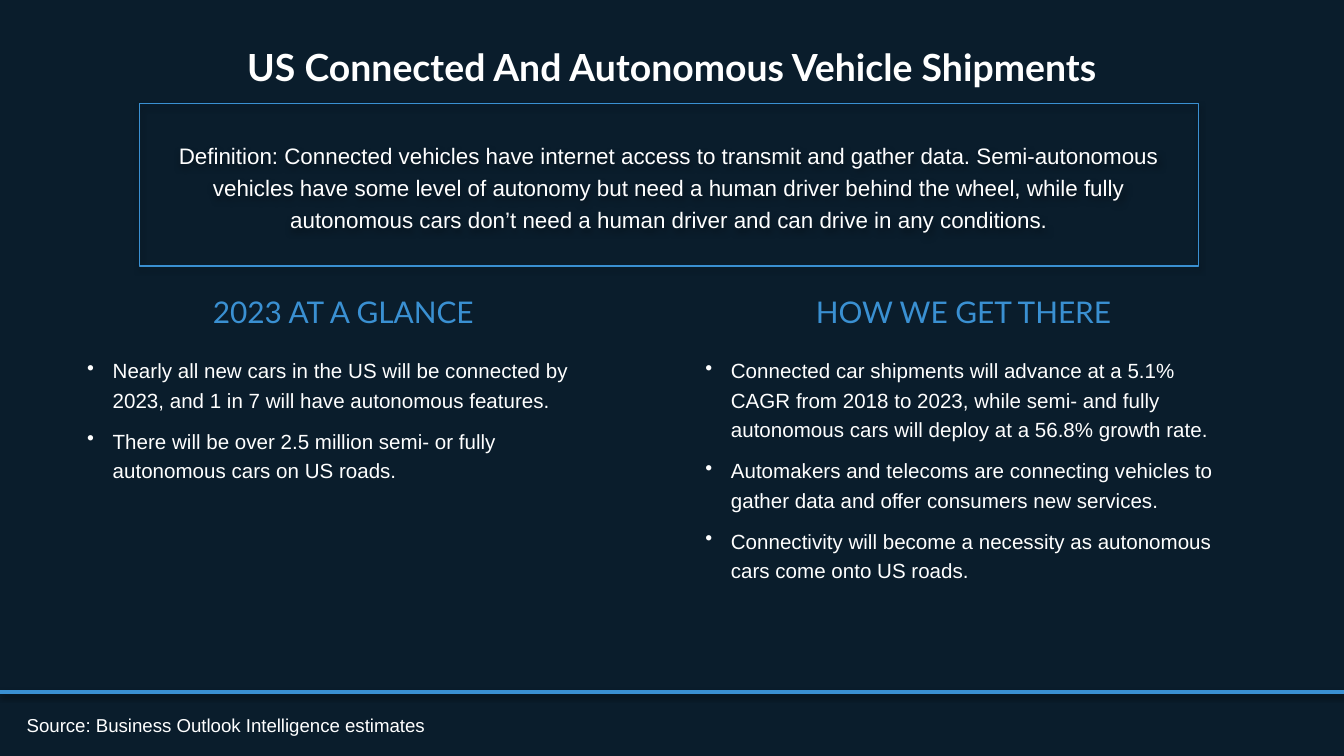
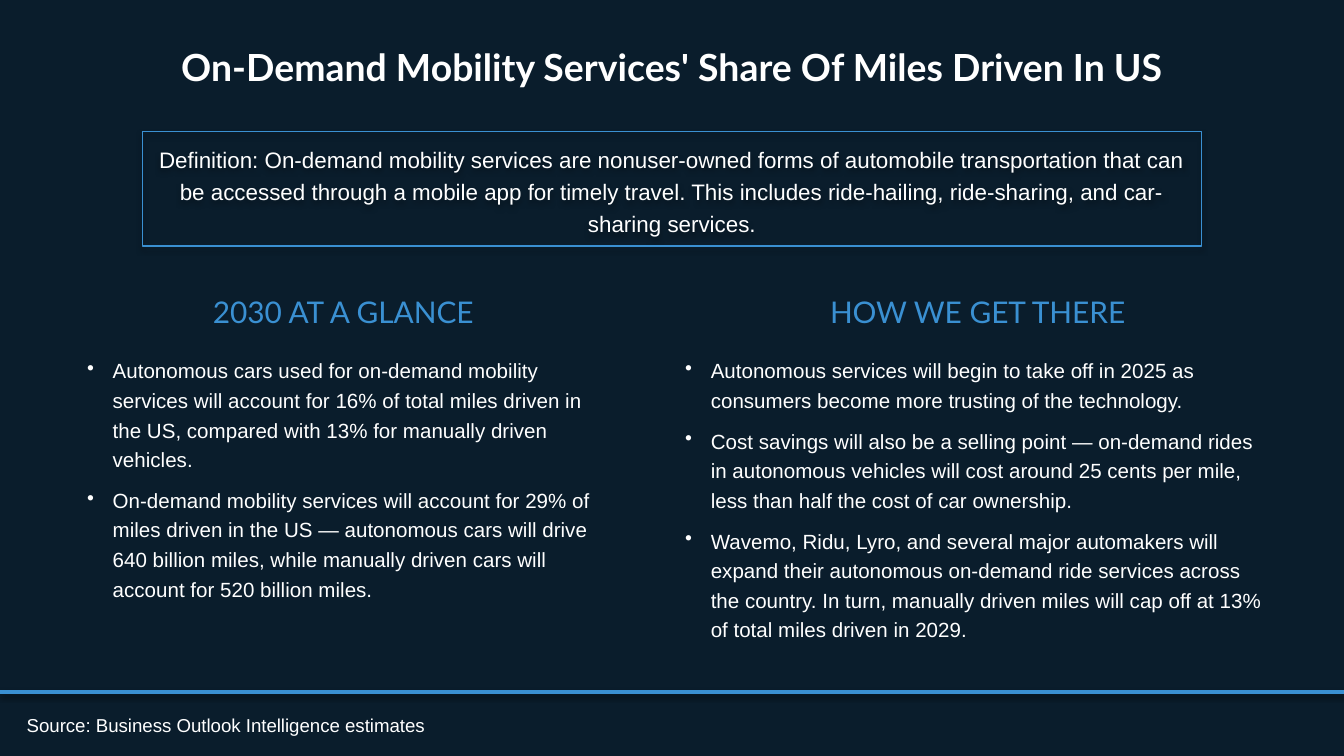
from dataclasses import dataclass

from lxml import etree
from pptx import Presentation
from pptx.dml.color import RGBColor
from pptx.enum.shapes import MSO_CONNECTOR, MSO_SHAPE
from pptx.enum.text import MSO_ANCHOR, PP_ALIGN
from pptx.oxml.ns import qn
from pptx.util import Inches, Pt

CENTER, LEFT = PP_ALIGN.CENTER, PP_ALIGN.LEFT
TOP, MIDDLE, BOTTOM = MSO_ANCHOR.TOP, MSO_ANCHOR.MIDDLE, MSO_ANCHOR.BOTTOM
RECTANGLE, STRAIGHT = MSO_SHAPE.RECTANGLE, MSO_CONNECTOR.STRAIGHT

NAVY, BLUE, WHITE, BLACK = "0A1D2C", "3A90D2", "FFFFFF", "000000"
HEADING_FONT, BODY_FONT = "Lato", "Arial"
SLIDE_WIDTH = 10
SLIDE_HEIGHT = SLIDE_WIDTH * 9 / 16
FOOTER_RULE_TOP = 5.15
LINE_SPACING = 1.2
BULLET_INDENT = 0.19
SOURCE = "Source: Business Outlook Intelligence estimates"


@dataclass(frozen=True)
class Box:
    left: float
    top: float
    width: float
    height: float

    def lengths(self):
        return [Inches(n) for n in (self.left, self.top, self.width, self.height)]


@dataclass(frozen=True)
class TextStyle:
    font: str
    size: float
    color: str
    bold: bool = False
    align: PP_ALIGN = LEFT
    line_spacing: float = LINE_SPACING
    space_before: float = 0
    space_after: float = 0


@dataclass(frozen=True)
class Column:
    box: Box
    heading: str
    bullets: tuple[str, ...]


@dataclass(frozen=True)
class Topic:
    title: str
    definition: str
    definition_box: Box
    columns: tuple[Column, ...]


TITLE_BOX = Box(0.2, 0.2, 9.6, 0.51)
SOURCE_BOX = Box(0.1, 5.31, 5.42, 0.22)
GLANCE_BOX = Box(0.55, 2.08, 4.01, 3.15)

TITLE_STYLE = TextStyle(HEADING_FONT, 20, WHITE, bold=True, align=CENTER)
HEADING_STYLE = TextStyle(HEADING_FONT, 16, BLUE, align=CENTER, space_after=13)
BULLET_STYLE = TextStyle(BODY_FONT, 11, WHITE, space_after=6)
DEFINITION_STYLE = TextStyle(BODY_FONT, 12, WHITE, align=CENTER)
SOURCE_STYLE = TextStyle(BODY_FONT, 10, WHITE, line_spacing=1, space_before=2)

TOPICS = (
    Topic(
        "US Connected And Autonomous Vehicle Shipments",
        "Definition: Connected vehicles have internet access to transmit and gather data. "
        "Semi-autonomous vehicles have some level of autonomy but need a human driver behind "
        "the wheel, while fully autonomous cars don’t need a human driver and can drive in "
        "any conditions.",
        Box(1.04, 0.77, 7.88, 1.21),
        (
            Column(GLANCE_BOX, "2023 AT A GLANCE", (
                "Nearly all new cars in the US will be connected by 2023, and 1 in 7 will have "
                "autonomous features.",
                "There will be over 2.5 million semi- or fully autonomous cars on US roads.",
            )),
            Column(Box(5.15, 2.08, 4.04, 2.37), "HOW WE GET THERE", (
                "Connected car shipments will advance at a 5.1% CAGR from 2018 to 2023, while "
                "semi- and fully autonomous cars will deploy at a 56.8% growth rate.",
                "Automakers and telecoms are connecting vehicles to gather data and offer "
                "consumers new services.",
                "Connectivity will become a necessity as autonomous cars come onto US roads.",
            )),
        ),
    ),
    Topic(
        "On-Demand Mobility Services' Share Of Miles Driven In US",
        "Definition: On-demand mobility services are nonuser-owned forms of automobile "
        "transportation that can be accessed through a mobile app for timely travel. This "
        "includes ride-hailing, ride-sharing, and car-sharing services.",
        Box(1.06, 0.98, 7.88, 0.85),
        (
            Column(GLANCE_BOX, "2030 AT A GLANCE", (
                "Autonomous cars used for on-demand mobility services will account for 16% of "
                "total miles driven in the US, compared with 13% for manually driven vehicles.",
                "On-demand mobility services will account for 29% of miles driven in the US — "
                "autonomous cars will drive 640 billion miles, while manually driven cars will "
                "account for 520 billion miles.",
            )),
            Column(Box(5, 2.08, 4.55, 2.81), "HOW WE GET THERE", (
                "Autonomous services will begin to take off in 2025 as consumers become more "
                "trusting of the technology.",
                "Cost savings will also be a selling point — on-demand rides in autonomous "
                "vehicles will cost around 25 cents per mile, less than half the cost of car "
                "ownership.",
                "Wavemo, Ridu, Lyro, and several major automakers will expand their autonomous "
                "on-demand ride services across the country. In turn, manually driven miles "
                "will cap off at 13% of total miles driven in 2029.",
            )),
        ),
    ),
)


def rgb(color: str) -> RGBColor:
    return RGBColor.from_string(color)


def add_shadow(shape, opacity: int, distance: float) -> None:
    """Add a soft shadow straight below; opacity in percent, distance in points."""
    effects = etree.SubElement(shape._element.spPr, qn("a:effectLst"))
    shadow = etree.SubElement(
        effects, qn("a:outerShdw"), blurRad=str(Pt(3.1)), dist=str(Pt(distance)),
        dir=str(90 * 60000), rotWithShape="0")
    color = etree.SubElement(shadow, qn("a:srgbClr"), val=BLACK)
    etree.SubElement(color, qn("a:alpha"), val=str(opacity * 1000))


def write_paragraph(paragraph, text: str, style: TextStyle) -> None:
    paragraph.text = text
    paragraph.alignment = style.align
    paragraph.line_spacing = style.line_spacing
    paragraph.space_before = Pt(style.space_before)
    paragraph.space_after = Pt(style.space_after)
    font = paragraph.font
    font.name, font.size, font.bold = style.font, Pt(style.size), style.bold
    font.color.rgb = rgb(style.color)


def add_bullet(paragraph) -> None:
    properties = paragraph._p.get_or_add_pPr()
    properties.set("marL", str(Inches(BULLET_INDENT)))
    properties.set("indent", str(-Inches(BULLET_INDENT)))
    bullet = etree.Element(qn("a:buChar"), char="•")
    properties.find(qn("a:defRPr")).addprevious(bullet)


def add_text(slide, box: Box, text: str, style: TextStyle, anchor: MSO_ANCHOR = TOP):
    frame = slide.shapes.add_textbox(*box.lengths()).text_frame
    frame.word_wrap = True
    frame.vertical_anchor = anchor
    write_paragraph(frame.paragraphs[0], text, style)
    return frame


def add_column(slide, column: Column) -> None:
    frame = add_text(slide, column.box, column.heading, HEADING_STYLE)
    for text in column.bullets:
        paragraph = frame.add_paragraph()
        write_paragraph(paragraph, text, BULLET_STYLE)
        add_bullet(paragraph)


def add_definition(slide, box: Box, text: str) -> None:
    shape = slide.shapes.add_shape(RECTANGLE, *box.lengths())
    shape.fill.background()
    shape.line.color.rgb = rgb(BLUE)
    shape.line.width = Pt(0.75)
    add_shadow(shape, opacity=35, distance=1.8)
    frame = shape.text_frame
    frame.word_wrap = True
    frame.vertical_anchor = MIDDLE
    write_paragraph(frame.paragraphs[0], text, DEFINITION_STYLE)


def add_footer(slide) -> None:
    add_text(slide, SOURCE_BOX, SOURCE, SOURCE_STYLE, BOTTOM)
    rule = slide.shapes.add_connector(
        STRAIGHT, Inches(0), Inches(FOOTER_RULE_TOP),
        Inches(SLIDE_WIDTH), Inches(FOOTER_RULE_TOP))
    rule.line.color.rgb = rgb(BLUE)
    rule.line.width = Pt(2)
    add_shadow(rule, opacity=38, distance=1.6)


def add_topic_slide(presentation, topic: Topic) -> None:
    slide = presentation.slides.add_slide(presentation.slide_layouts[6])
    background = slide.background.fill
    background.solid()
    background.fore_color.rgb = rgb(NAVY)
    glance, outlook = topic.columns
    add_column(slide, glance)
    add_text(slide, TITLE_BOX, topic.title, TITLE_STYLE, BOTTOM)
    add_footer(slide)
    add_column(slide, outlook)
    add_definition(slide, topic.definition_box, topic.definition)


def main() -> None:
    presentation = Presentation()
    presentation.slide_width = Inches(SLIDE_WIDTH)
    presentation.slide_height = Inches(SLIDE_HEIGHT)
    for topic in TOPICS:
        add_topic_slide(presentation, topic)
    presentation.save("out.pptx")


if __name__ == "__main__":
    main()
